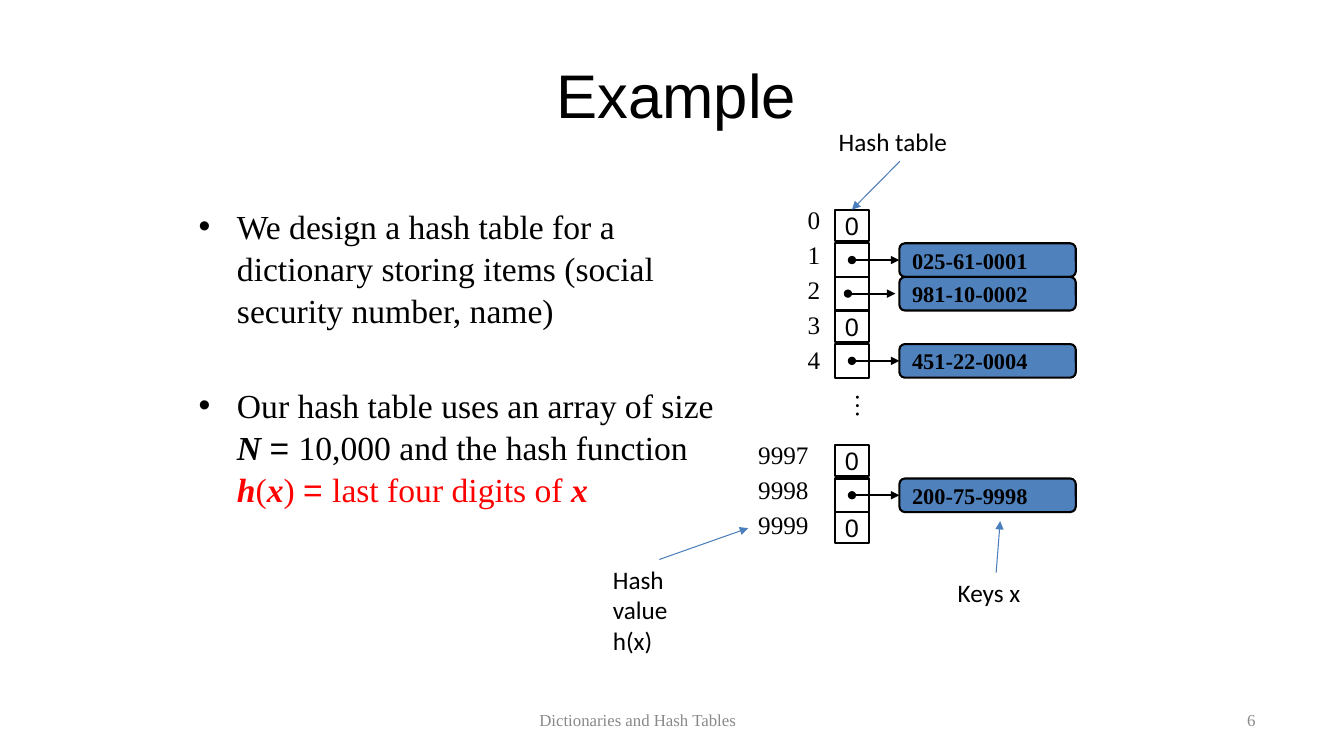
from typing import NamedTuple, Optional

import pptx
import pptx.dml.color
import pptx.enum.shapes
import pptx.enum.text
import pptx.oxml.ns
import pptx.util
from lxml import etree

Inches, Pt = pptx.util.Inches, pptx.util.Pt
MSO_SHAPE = pptx.enum.shapes.MSO_SHAPE
PP_ALIGN = pptx.enum.text.PP_ALIGN
ANCHOR = pptx.enum.text.MSO_ANCHOR
qn = pptx.oxml.ns.qn

BLACK, RED, GREY, KEY_BLUE, ARROW_BLUE = "000000", "FF0000", "898989", "4F81BD", "4B7EBC"
SERIF, SANS, LABEL = "Times New Roman", "Arial", "Calibri"
ROW = 1 / 3
TABLE_TOP, CELL_LEFT, CELL_W, ZERO_H = 2.08, 8.28, 0.34, 0.31
KEY_LEFT, KEY_W = 8.92, 1.75


class Run(NamedTuple):
    text: str
    font: str = SERIF
    color: str = BLACK
    strong: bool = False


class Bucket(NamedTuple):
    row: int
    key: Optional[str] = None
    shift: float = 0


class Bullet(NamedTuple):
    top: float
    width: float
    runs: list[Run]


class Note(NamedTuple):
    text: str
    left: float
    top: float
    width: float
    height: float
    side: int
    tip: tuple[float, float]


BUCKETS = [
    Bucket(0), Bucket(1, "025-61-0001"), Bucket(2, "981-10-0002", -0.04), Bucket(3),
    Bucket(4, "451-22-0004"), Bucket(7), Bucket(8, "200-75-9998"), Bucket(9),
]
BULLETS = [
    Bullet(2.02, 4.54, [Run("We design a hash table for a dictionary storing items "
                            "(social security number, name)")]),
    Bullet(3.79, 5.18, [
        Run("Our hash table uses an array of size "), Run("N ", strong=True),
        Run("= ", SANS), Run("10,000 and the hash function "),
        Run("h", color=RED, strong=True), Run("(", color=RED),
        Run("x", color=RED, strong=True), Run(") ", color=RED), Run("= ", SANS, RED),
        Run("last four digits of ", color=RED), Run("x", color=RED, strong=True),
    ]),
]
NOTES = [
    Note("Hash table", 8.22, 1.2, 1.41, 0.4, 2, (8.45, 2.08)),
    Note("Hash value h(x)", 5.98, 5.55, 1.12, 1.01, 0, (7.42, 5.24)),
    Note("Keys x", 9.4, 5.68, 0.96, 0.4, 0, (9.92, 5.17)),
]


def rgb(color: str) -> pptx.dml.color.RGBColor:
    return pptx.dml.color.RGBColor.from_string(color)


def place(sp, left: float, top: float, width: float, height: float) -> None:
    sp.left, sp.top, sp.width, sp.height = map(Inches, (left, top, width, height))


def add_run(p, text: str, *, size: float, font: str, color: str = BLACK,
            bold: bool = False, italic: bool = False) -> None:
    r = p.add_run()
    r.text = text
    r.font.size, r.font.name = Pt(size), font
    r.font.bold, r.font.italic = bold, italic
    r.font.color.rgb = rgb(color)


def set_frame(sp, left: float = 0, top: float = 0, right: float = 0,
              bottom: float = 0, anchor=ANCHOR.TOP):
    tf = sp.text_frame
    tf.word_wrap, tf.vertical_anchor = True, anchor
    tf.auto_size = pptx.enum.text.MSO_AUTO_SIZE.NONE
    tf.margin_left, tf.margin_top = Inches(left), Inches(top)
    tf.margin_right, tf.margin_bottom = Inches(right), Inches(bottom)
    return tf


def add_text(s, lines: list[str], left: float, top: float, width: float, height: float, *,
             size: float = 18, font: str = SERIF, color: str = BLACK, before: float = 0,
             spacing=None, margins: tuple = (0, 0, 0, 0)):
    sp = s.shapes.add_textbox(*map(Inches, (left, top, width, height)))
    tf = set_frame(sp, *margins)
    for i, line in enumerate(lines):
        p = tf.add_paragraph() if i else tf.paragraphs[0]
        p.space_before, p.line_spacing = Pt(before), spacing
        add_run(p, line, size=size, font=font, color=color)
    return sp


def add_box(s, kind, left: float, top: float, width: float, height: float,
            fill: Optional[str] = None):
    sp = s.shapes.add_shape(kind, *map(Inches, (left, top, width, height)))
    sp.shadow.inherit = False
    if fill:
        sp.fill.solid()
        sp.fill.fore_color.rgb = rgb(fill)
    else:
        sp.fill.background()
    sp.line.color.rgb, sp.line.width = rgb(BLACK), Pt(1.5)
    return sp


def add_arrow(s, x1: float, y1: float, x2: float, y2: float, *, color: str,
              width: float, dot: bool = False):
    cx = s.shapes.add_connector(pptx.enum.shapes.MSO_CONNECTOR.STRAIGHT,
                                *map(Inches, (x1, y1, x2, y2)))
    cx.line.color.rgb, cx.line.width = rgb(color), Pt(width)
    ln = cx.line._get_or_add_ln()
    if dot:
        etree.SubElement(ln, qn("a:headEnd"), type="oval")
    etree.SubElement(ln, qn("a:tailEnd"), type="triangle")
    etree.SubElement(cx._element.spPr, qn("a:effectLst"))
    return cx


def add_bucket(s, bucket: Bucket):
    """Draw one cell, holding 0 or pointing to its key; return the cell."""
    top = TABLE_TOP + bucket.row * ROW
    height = ROW if bucket.key else ZERO_H
    cell = add_box(s, MSO_SHAPE.RECTANGLE, CELL_LEFT, top, CELL_W, height)
    if not bucket.key:
        p = set_frame(cell, anchor=ANCHOR.MIDDLE).paragraphs[0]
        p.alignment = PP_ALIGN.CENTER
        add_run(p, "0", size=18, font=SANS)
        return cell
    key = add_box(s, MSO_SHAPE.ROUNDED_RECTANGLE, KEY_LEFT, top, KEY_W, ROW, KEY_BLUE)
    p = set_frame(key, left=0.11, anchor=ANCHOR.MIDDLE).paragraphs[0]
    p.alignment = PP_ALIGN.LEFT
    add_run(p, bucket.key, size=16, font=SERIF, bold=True)
    mid = top + ROW / 2
    arrow = add_arrow(s, CELL_LEFT + CELL_W / 2 + bucket.shift, mid,
                      KEY_LEFT + bucket.shift, mid, color=BLACK, width=1.5, dot=True)
    if not bucket.shift:
        arrow.end_connect(key, 1)
    return cell


def fill_bullet(sp, bullet: Bullet) -> None:
    place(sp, 1.96, bullet.top, bullet.width, 1.23)
    p = set_frame(sp, top=0.01).paragraphs[0]
    p.space_before, p.line_spacing = Pt(0.8), 1.04
    pPr = p._p.get_or_add_pPr()
    pPr.set("marL", str(Inches(0.39)))
    pPr.set("indent", str(-Inches(0.38)))
    etree.SubElement(pPr, qn("a:buChar"), char="•")
    for run in bullet.runs:
        add_run(p, run.text, size=24, font=run.font, color=run.color,
                bold=run.strong, italic=run.strong)


def main() -> None:
    prs = pptx.Presentation()
    prs.slide_width, prs.slide_height = Inches(13.33), Inches(7.5)
    s = prs.slides.add_slide(prs.slide_layouts[3])
    title, *bodies = s.placeholders

    place(title, 1.92, 0.54, 9.58, 0.75)
    p = set_frame(title, top=0.02).paragraphs[0]
    p.alignment = PP_ALIGN.CENTER
    add_run(p, "Example", size=44, font=SANS)
    for sp, bullet in zip(bodies, BULLETS):
        fill_bullet(sp, bullet)

    cells = [add_bucket(s, bucket) for bucket in BUCKETS]
    for labels, left, top, width in ((range(5), 8.01, 1.98, 0.15),
                                     (range(9997, 10000), 7.52, 4.31, 0.54)):
        add_text(s, [str(n) for n in labels], left, top, width, len(labels) * ROW,
                 before=3.3, margins=(0, 0.05, 0, 0))
    dots = add_text(s, ["…"], 8.44, 3.9, 0.29, 0.28, spacing=Pt(20.6))
    dots.text_frame._txBody.bodyPr.set("vert", "vert")

    for note in NOTES:
        sp = add_text(s, [note.text], note.left, note.top, note.width, note.height,
                      font=LABEL, margins=(0.1, 0.05, 0.1, 0.05))
        arrow = add_arrow(s, note.left, note.top, *note.tip, color=ARROW_BLUE, width=0.75)
        arrow.begin_connect(sp, note.side)
        if note is NOTES[0]:
            arrow.end_connect(cells[0], 0)

    for text, left, width in (("Dictionaries and Hash Tables", 5.35, 2.64), ("6", 12.37, 0.23)):
        add_text(s, [text], left, 7.05, width, 0.2, size=12, color=GREY, spacing=Pt(14.1))
    prs.save("out.pptx")


if __name__ == "__main__":
    main()
